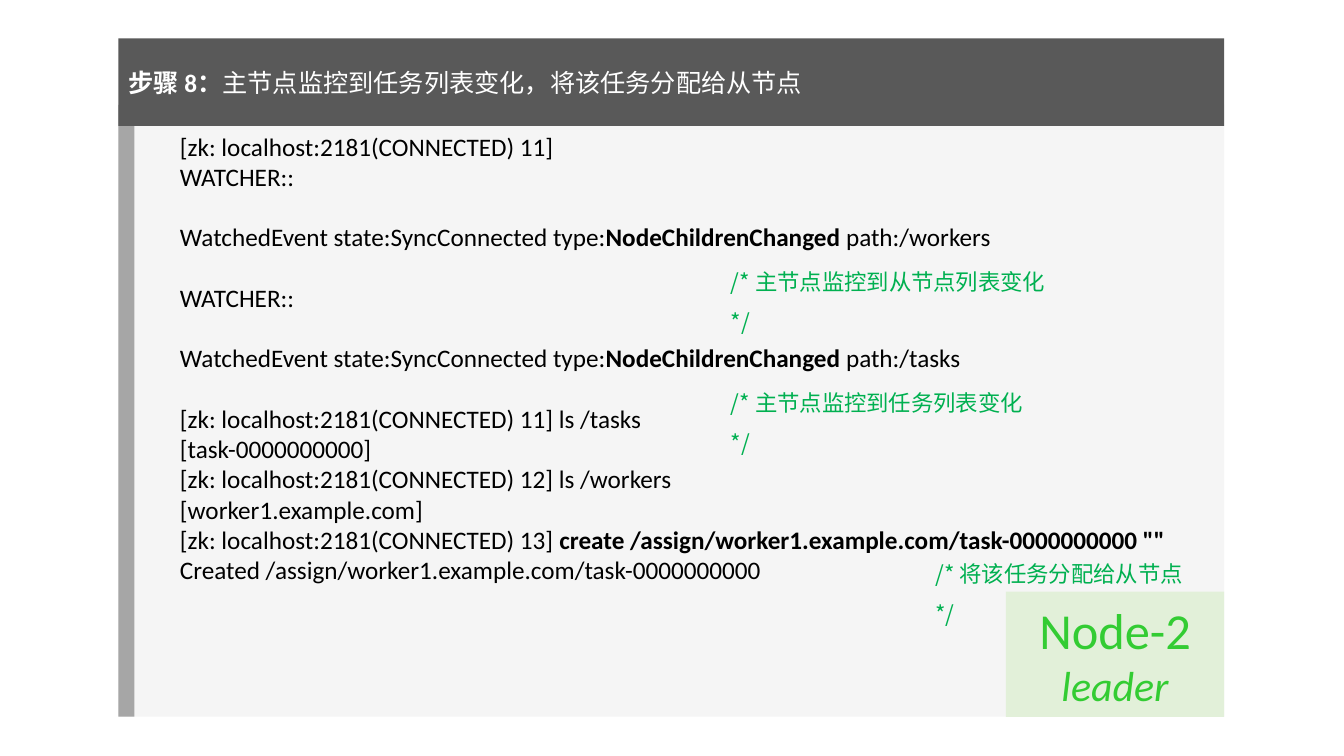
import pptx
import pptx.dml.color
import pptx.enum.shapes
import pptx.enum.text
import pptx.oxml.ns
import pptx.util
import lxml.etree
from pptx.util import Pt

THEME = {
    "latin": "Calibri", "chinese": "Noto Sans CJK SC",
    "panel": "F5F5F5", "stripe": "A6A6A6", "header": "595959", "badge": "E2F0D9",
    "code": "000000", "comment": "00B050", "leader": "33CC33", "title": "FFFFFF",
    "title_size": 18, "code_size": 18, "comment_size": 16,
    "node_size": 36, "role_size": 30,
    "code_line": 21.6, "comment_line": 29,
}

TITLE = [("步骤 8：", True), ("主节点监控到任务列表变化，将该任务分配给从节点", False)]
CONSOLE = [
    (False, [("[zk: localhost:2181(CONNECTED) 11]", False)]),
    (False, [("WATCHER::", False)]),
    (True, [("WatchedEvent state:SyncConnected type:", False),
            ("NodeChildrenChanged", True), (" path:/workers", False)]),
    (True, [("WATCHER::", False)]),
    (True, [("WatchedEvent state:SyncConnected type:", False),
            ("NodeChildrenChanged", True), (" path:/tasks", False)]),
    (True, [("[zk: localhost:2181(CONNECTED) 11] ls /tasks", False)]),
    (False, [("[task-0000000000]", False)]),
    (False, [("[zk: localhost:2181(CONNECTED) 12] ls /workers", False)]),
    (False, [("[worker1.example.com]", False)]),
    (False, [("[zk: localhost:2181(CONNECTED) 13] ", False),
             ('create /assign/worker1.example.com/task-0000000000 ""', True)]),
    (False, [("Created /assign/worker1.example.com/task-0000000000", False)]),
]
COMMENTS = [
    ("/* 主节点监控到从节点列表变化 */", 515, 178, 254),
    ("/* 主节点监控到任务列表变化 */", 515, 264.5, 238),
    ("/* 将该任务分配给从节点 */", 661, 386.5, 207),
]

LEFT, RIGHT = 84.5, 874.5
HEADER_TOP, HEADER_HEIGHT = 27.5, 62.5
PANEL_TOP, PANEL_BOTTOM = 75, 512
STRIPE_WIDTH = 11.5
BADGE_WIDTH, BADGE_HEIGHT = 156, 89.5
CONSOLE_LEFT, CONSOLE_HEIGHT = 121.5, 334


def rgb(name):
    return pptx.dml.color.RGBColor.from_string(THEME[name])


def add_run(paragraph, text, size, color, font="latin", bold=False, italic=False):
    run = paragraph.add_run()
    run.text = text
    run.font.name = THEME[font]
    run.font.size = Pt(THEME[size])
    run.font.bold = bold
    run.font.italic = italic
    run.font.color.rgb = rgb(color)
    east_asian = lxml.etree.SubElement(run.font._element, pptx.oxml.ns.qn("a:ea"))
    east_asian.set("typeface", THEME["chinese"])


def add_block(slide, left, top, width, height, fill):
    shape = slide.shapes.add_shape(pptx.enum.shapes.MSO_SHAPE.RECTANGLE,
                                   Pt(left), Pt(top), Pt(width), Pt(height))
    shape.shadow.inherit = False
    shape.fill.solid()
    shape.fill.fore_color.rgb = rgb(fill)
    shape.line.fill.background()
    return shape


def add_text_frame(slide, left, top, width, height):
    shape = slide.shapes.add_textbox(Pt(left), Pt(top), Pt(width), Pt(height))
    shape.text_frame.word_wrap = True
    return shape.text_frame


def next_paragraph(frame, index):
    return frame.add_paragraph() if index else frame.paragraphs[0]


def add_console(slide):
    frame = add_text_frame(slide, CONSOLE_LEFT, HEADER_TOP + HEADER_HEIGHT,
                           RIGHT - CONSOLE_LEFT, CONSOLE_HEIGHT)
    for index, (gap, runs) in enumerate(CONSOLE):
        paragraph = next_paragraph(frame, index)
        paragraph.line_spacing = Pt(THEME["code_line"])
        if gap:
            paragraph.space_before = Pt(THEME["code_line"])
        for text, bold in runs:
            add_run(paragraph, text, "code_size", "code", bold=bold)


def add_badge(slide):
    badge = add_block(slide, RIGHT - BADGE_WIDTH, PANEL_BOTTOM - BADGE_HEIGHT,
                      BADGE_WIDTH, BADGE_HEIGHT, "badge")
    badge.text_frame.vertical_anchor = pptx.enum.text.MSO_ANCHOR.MIDDLE
    lines = [("Node-2", "node_size", False), ("leader", "role_size", True)]
    for index, (text, size, italic) in enumerate(lines):
        paragraph = next_paragraph(badge.text_frame, index)
        paragraph.alignment = pptx.enum.text.PP_ALIGN.CENTER
        add_run(paragraph, text, size, "leader", italic=italic)


def add_comments(slide):
    for text, left, top, width in COMMENTS:
        frame = add_text_frame(slide, left, top, width, 2 * THEME["comment_line"] + 7.2)
        paragraph = frame.paragraphs[0]
        paragraph.line_spacing = Pt(THEME["comment_line"])
        add_run(paragraph, text, "comment_size", "comment", font="chinese")


def format_title(slide):
    title = slide.shapes.title
    title.left, title.top = Pt(LEFT), Pt(HEADER_TOP)
    title.width, title.height = Pt(RIGHT - LEFT), Pt(HEADER_HEIGHT)
    title.fill.solid()
    title.fill.fore_color.rgb = rgb("header")
    frame = title.text_frame
    frame.auto_size = pptx.enum.text.MSO_AUTO_SIZE.NONE
    frame.vertical_anchor = pptx.enum.text.MSO_ANCHOR.MIDDLE
    paragraph = frame.paragraphs[0]
    paragraph.alignment = pptx.enum.text.PP_ALIGN.LEFT
    for text, bold in TITLE:
        add_run(paragraph, text, "title_size", "title", bold=bold)
    slide.shapes._spTree.append(title._element)


def main():
    presentation = pptx.Presentation()
    presentation.slide_width, presentation.slide_height = Pt(960), Pt(540)
    slide = presentation.slides.add_slide(presentation.slide_layouts[5])
    panel_height = PANEL_BOTTOM - PANEL_TOP
    add_block(slide, LEFT, PANEL_TOP, RIGHT - LEFT, panel_height, "panel")
    add_console(slide)
    add_block(slide, LEFT, PANEL_TOP, STRIPE_WIDTH, panel_height, "stripe")
    add_badge(slide)
    add_comments(slide)
    format_title(slide)
    presentation.save("out.pptx")


if __name__ == "__main__":
    main()
